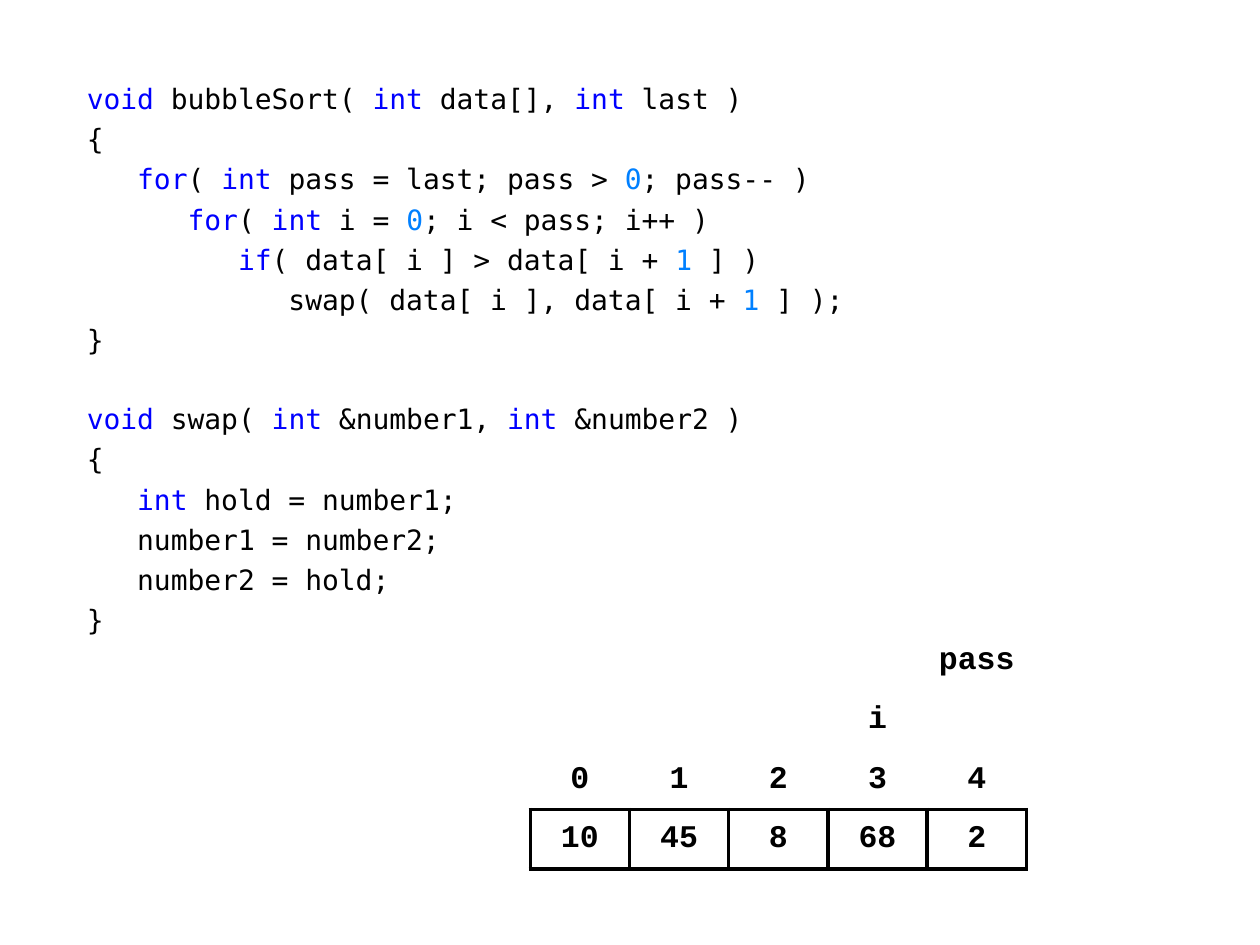
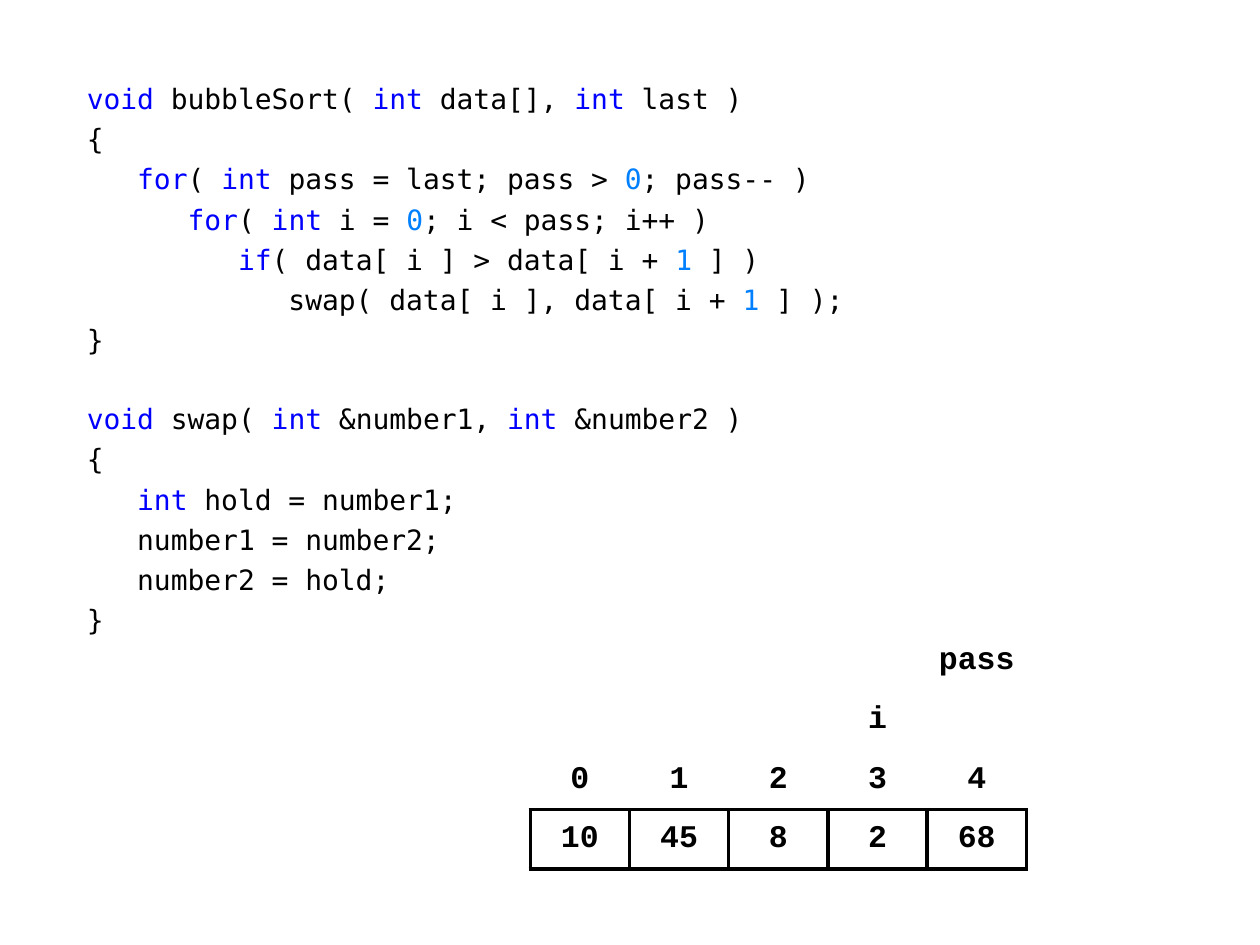
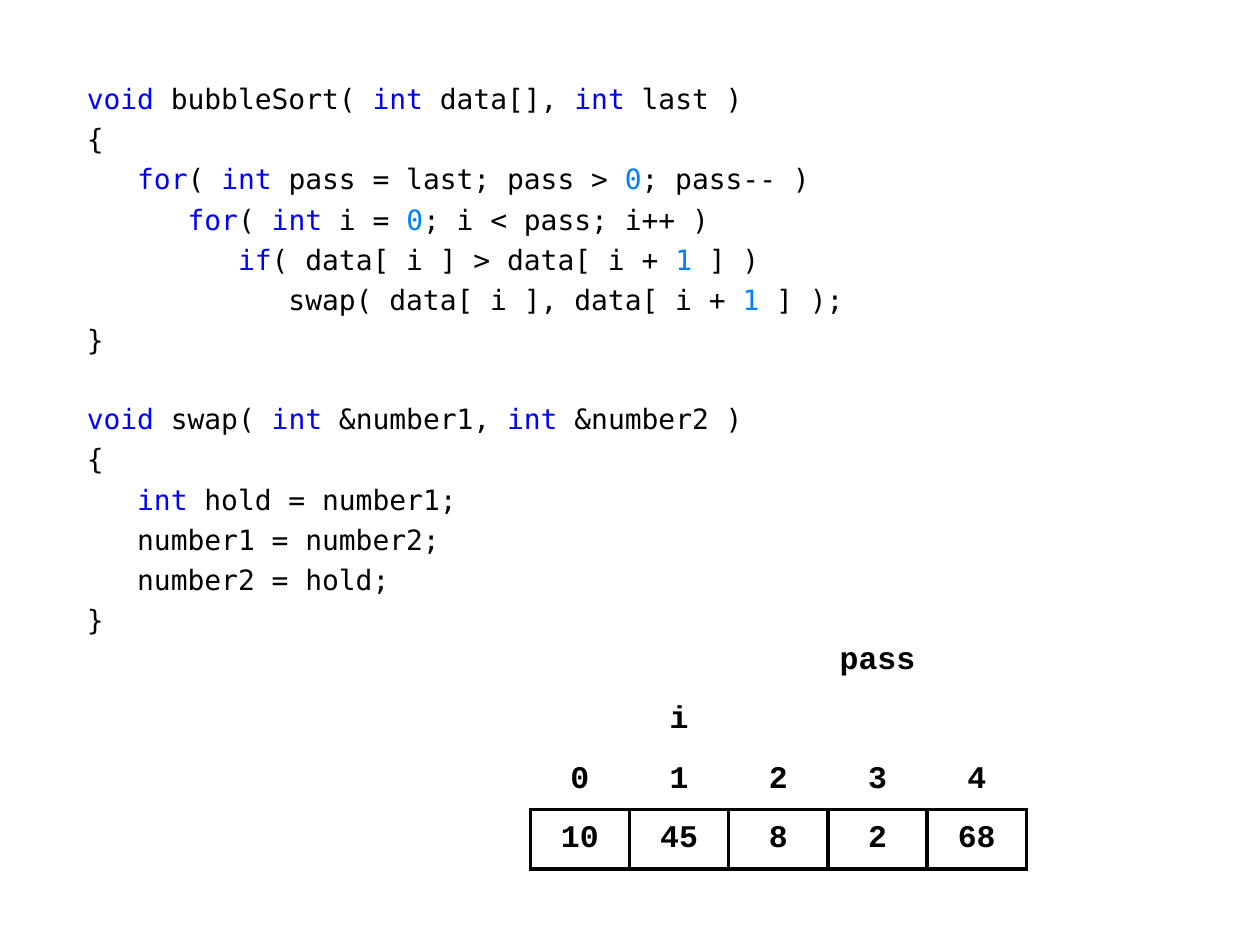
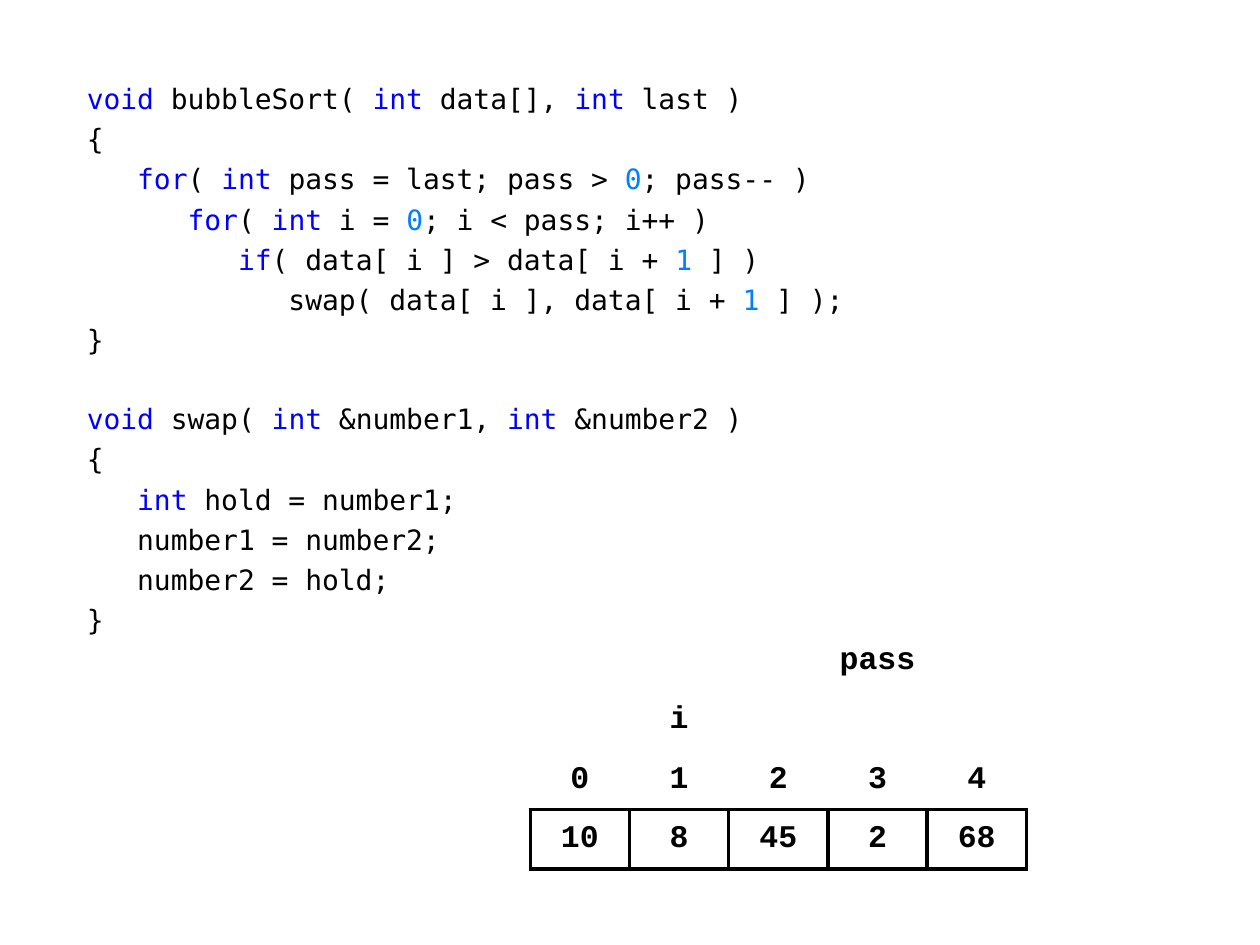
from itertools import groupby

from lxml import etree
from pptx import Presentation
from pptx.dml.color import RGBColor
from pptx.enum.text import MSO_ANCHOR, PP_ALIGN
from pptx.oxml.ns import qn
from pptx.util import Pt

MIDDLE = MSO_ANCHOR.MIDDLE
CENTER = PP_ALIGN.CENTER

BLACK, WHITE = "000000", "FFFFFF"
KEYWORD_BLUE, NUMBER_BLUE = "0000FF", "0080FF"
KEYWORDS = {"void", "int", "for", "if"}

CODE_FONT = {"name": "DejaVu Sans Mono", "size": Pt(16)}
CELL_FONT = {"name": "Courier New", "size": Pt(18), "bold": True}
CELL_FORMAT = {
    "vertical_anchor": MIDDLE,
    "margin_left": Pt(2.88), "margin_right": Pt(2.88),
    "margin_top": Pt(3.6), "margin_bottom": Pt(3.6),
}
NO_STYLE = "{2D5ABB26-0587-4C30-8999-92F81FD0307C}"
LINE_GAP, FUNCTION_GAP = 3.75, 26.1
COLUMN_WIDTH, ROW_HEIGHT = 56.7, 34

FUNCTIONS = [
    """void bubbleSort( int data[], int last )
{
   for( int pass = last; pass > 0; pass-- )
      for( int i = 0; i < pass; i++ )
         if( data[ i ] > data[ i + 1 ] )
            swap( data[ i ], data[ i + 1 ] );
}""",
    """void swap( int &number1, int &number2 )
{
   int hold = number1;
   number1 = number2;
   number2 = hold;
}""",
]

# Position of pass, position of i, array contents
STEPS = [
    (4, 3, [10, 45, 8, 68, 2]),
    (4, 3, [10, 45, 8, 2, 68]),
    (3, 1, [10, 45, 8, 2, 68]),
    (3, 1, [10, 8, 45, 2, 68]),
]


def color(hex_code):
    return RGBColor.from_string(hex_code)


def set_format(target, values):
    for name, value in values.items():
        setattr(target, name, value)


def add_span(para, text, font, hex_code):
    span = para.add_run()
    span.text = text
    set_format(span.font, font)
    span.font.color.rgb = color(hex_code)


def token_color(token):
    if token in KEYWORDS:
        return KEYWORD_BLUE
    return NUMBER_BLUE if token.isdigit() else BLACK


def add_code_line(para, line):
    """Write one line of code, with keywords and numbers coloured."""
    tokens = ["".join(part) for _, part in groupby(line, str.isalnum)]
    for hex_code, part in groupby(tokens, token_color):
        add_span(para, "".join(part), CODE_FONT, hex_code)


def add_code(page):
    box = page.shapes.add_textbox(Pt(42.5), Pt(43.2), Pt(635), Pt(329))
    frame = box.text_frame
    frame.word_wrap = True
    for function_index, function in enumerate(FUNCTIONS):
        for line_index, line in enumerate(function.splitlines()):
            if function_index == line_index == 0:
                para = frame.paragraphs[0]
                para.space_before = Pt(0)
            else:
                para = frame.add_paragraph()
                para.space_before = Pt(LINE_GAP if line_index else FUNCTION_GAP)
            add_code_line(para, line)


def add_borders(cell, sides):
    properties = cell._tc.get_or_add_tcPr()
    for side in sides:
        line = etree.SubElement(properties, qn(f"a:ln{side}"), w=str(Pt(2.25)))
        fill = etree.SubElement(line, qn("a:solidFill"))
        etree.SubElement(fill, qn("a:srgbClr"), val=BLACK)


def fill_cell(cell, text, sides, filled):
    set_format(cell, CELL_FORMAT)
    add_borders(cell, sides)
    if filled:
        cell.fill.solid()
        cell.fill.fore_color.rgb = color(WHITE)
    else:
        cell.fill.background()
    if text:
        para = cell.text_frame.paragraphs[0]
        para.alignment = CENTER
        add_span(para, text, CELL_FONT, BLACK)


def add_array(page, pass_position, i_position, values):
    """Draw the array with its indexes and the two loop variables above it."""
    positions = range(len(values))
    rows = [
        (["pass" if n == pass_position else "" for n in positions], ""),
        (["i" if n == i_position else "" for n in positions], ""),
        ([str(n) for n in positions], "B"),
        ([str(value) for value in values], "LRTB"),
    ]
    frame = page.shapes.add_table(
        len(rows), len(values), Pt(303), Pt(360.7),
        Pt(COLUMN_WIDTH * len(values)), Pt(ROW_HEIGHT * len(rows)))
    table = frame.table
    set_format(table, {"first_row": False, "horz_banding": False})
    table._tbl.tblPr.find(qn("a:tableStyleId")).text = NO_STYLE
    for column in table.columns:
        column.width = Pt(COLUMN_WIDTH)
    for row_index, (texts, sides) in enumerate(rows):
        table.rows[row_index].height = Pt(ROW_HEIGHT)
        for n, text in enumerate(texts):
            filled = row_index == len(rows) - 1 and n > 0
            fill_cell(table.cell(row_index, n), text, sides, filled)


def main():
    deck = Presentation()
    set_format(deck, {"slide_width": Pt(720), "slide_height": Pt(540)})
    for pass_position, i_position, values in STEPS:
        page = deck.slides.add_slide(deck.slide_layouts[6])
        add_code(page)
        add_array(page, pass_position, i_position, values)
    deck.save("out.pptx")


if __name__ == "__main__":
    main()
